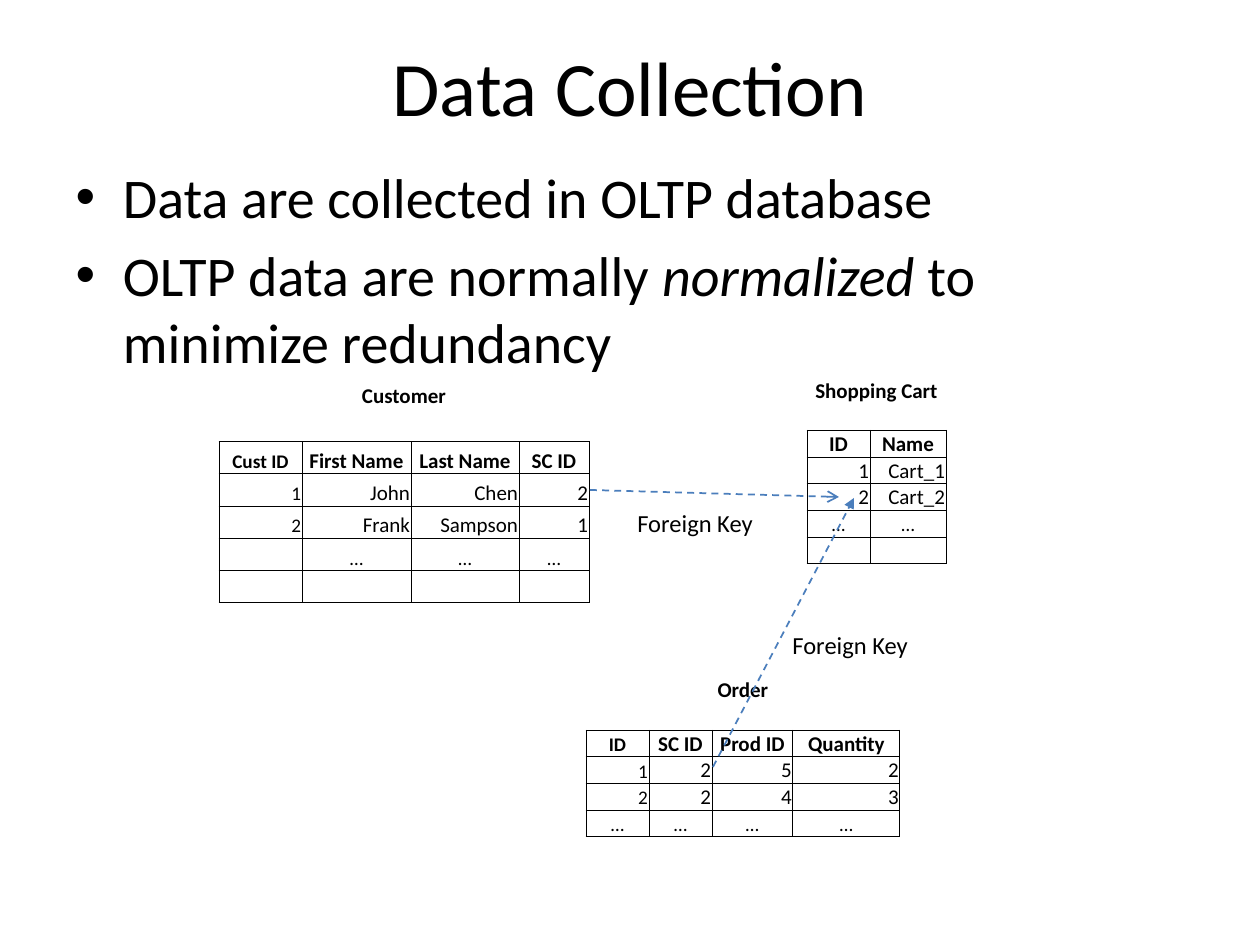
import pptx
import pptx.util
import pptx.dml.color
import pptx.enum.dml
import pptx.enum.shapes
import pptx.enum.text
import pptx.oxml.ns
import lxml.etree

COLORS = {"text": "000000", "border": "000000", "arrow": "4B7EBC"}
FONT = "Calibri"
SCALE = 914400 // 126

TITLE = {"box": (63, 25, 1134, 121), "text": [["Data Collection"]]}
BODY = {
    "box": (63, 156, 1134, 216),
    "text": [
        ["Data are collected in OLTP database"],
        ["OLTP data are normally ", ("normalized ", "italic"), "to minimize redundancy"],
    ],
}
TABLES = [
    {
        "name": "Customer", "left": 219, "top": 377, "height": 226,
        "columns": [83, 109, 108, 70], "small_first": True,
        "rows": [
            ["Cust ID", "First Name", "Last Name", "SC ID"],
            ["1", "John", "Chen", "2"],
            ["2", "Frank", "Sampson", "1"],
            ["", "…", "…", "…"],
            ["", "", "", ""],
        ],
    },
    {
        "name": "Shopping Cart", "left": 807, "top": 377, "height": 187,
        "columns": [63, 76], "small_first": False,
        "rows": [["ID", "Name"], ["1", "Cart_1"], ["2", "Cart_2"], ["…", "…"], ["", ""]],
    },
    {
        "name": "Order", "left": 586, "top": 677, "height": 160,
        "columns": [63, 63, 81, 107], "small_first": True,
        "rows": [
            ["ID", "SC ID", "Prod ID", "Quantity"],
            ["1", "2", "5", "2"],
            ["2", "2", "4", "3"],
            ["…", "…", "…", "…"],
        ],
    },
]
ARROWS = [((590, 490), (839, 497), "arrow"), ((713, 767), (854, 498), "triangle")]
LABELS = [("Foreign Key", (780, 624, 158, 42)), ("Foreign Key", (625, 502, 164, 42))]

ALIGN = pptx.enum.text.PP_ALIGN
ANCHOR = pptx.enum.text.MSO_ANCHOR
qn = pptx.oxml.ns.qn


def px(value):
    return pptx.util.Emu(round(value * SCALE))


def rgb(name):
    return pptx.dml.color.RGBColor.from_string(COLORS[name])


def write(frame, paragraphs, size, bold=False, align=None, anchor=ANCHOR.TOP):
    frame.word_wrap = True
    frame.vertical_anchor = anchor
    for index, parts in enumerate(paragraphs):
        paragraph = frame.add_paragraph() if index else frame.paragraphs[0]
        paragraph.alignment = align
        for part in parts:
            text, style = part if isinstance(part, tuple) else (part, "")
            run = paragraph.add_run()
            run.text = text
            run.font.name = FONT
            run.font.size = pptx.util.Pt(size)
            run.font.bold = bold
            run.font.italic = style == "italic"
            run.font.color.rgb = rgb("text")


def fill_placeholder(shape, content, **style):
    shape.left, shape.top, shape.width, shape.height = map(px, content["box"])
    write(shape.text_frame, content["text"], **style)
    shape.text_frame.auto_size = pptx.enum.text.MSO_AUTO_SIZE.NONE


def set_borders(cell, visible):
    properties = cell._tc.get_or_add_tcPr()
    for side in "LRTB":
        line = lxml.etree.SubElement(properties, qn("a:ln" + side), w="6350")
        if side in visible:
            solid = lxml.etree.SubElement(line, qn("a:solidFill"))
            lxml.etree.SubElement(solid, qn("a:srgbClr"), val=COLORS["border"])
        else:
            lxml.etree.SubElement(line, qn("a:noFill"))


def format_cell(cell, text, borders, **style):
    cell.margin_left = cell.margin_right = cell.margin_top = px(1)
    cell.margin_bottom = 0
    set_borders(cell, borders)
    cell.fill.background()
    if text:
        write(cell.text_frame, [[text]], **style)
    else:
        paragraph = cell.text_frame.paragraphs[0]
        lxml.etree.SubElement(paragraph._p, qn("a:endParaRPr"), sz="1100")
    cell.vertical_anchor = ANCHOR.BOTTOM


def add_data_table(slide, data):
    width = len(data["columns"])
    rows = [[data["name"]] + [""] * (width - 1), [""] * width] + data["rows"]
    frame = slide.shapes.add_table(
        len(rows), width, px(data["left"]), px(data["top"]),
        px(sum(data["columns"])), px(data["height"]))
    table = frame.table
    table.first_row = table.horz_banding = False
    for column, column_width in zip(table.columns, data["columns"]):
        column.width = px(column_width)
    for row_index, row in enumerate(rows):
        table.rows[row_index].height = px(data["height"] / len(rows))
        borders = ("", "B")[row_index] if row_index < 2 else "LRTB"
        heading = row_index in (0, 2)
        for column_index, text in enumerate(row):
            small = data["small_first"] and column_index == 0 and row_index > 0
            format_cell(
                table.cell(row_index, column_index), text, borders,
                size=11 if small or text == "…" else 12, bold=heading,
                align=ALIGN.CENTER if heading or text == "…" else ALIGN.RIGHT)
    table.cell(0, 0).merge(table.cell(0, width - 1))


def add_arrow(slide, start, end, head):
    connector = slide.shapes.add_connector(
        pptx.enum.shapes.MSO_CONNECTOR.STRAIGHT, *map(px, start + end))
    connector.line.color.rgb = rgb("arrow")
    connector.line.width = pptx.util.Pt(1)
    connector.line.dash_style = pptx.enum.dml.MSO_LINE.DASH
    properties = connector._element.spPr
    lxml.etree.SubElement(properties.find(qn("a:ln")), qn("a:tailEnd"), type=head)
    lxml.etree.SubElement(properties, qn("a:effectLst"))


presentation = pptx.Presentation()
presentation.slide_width = px(1260)
presentation.slide_height = px(945)
slide = presentation.slides.add_slide(presentation.slide_layouts[1])

fill_placeholder(slide.shapes.title, TITLE, size=44, align=ALIGN.CENTER, anchor=ANCHOR.MIDDLE)
fill_placeholder(slide.placeholders[1], BODY, size=32)
for data in TABLES:
    add_data_table(slide, data)
for start, end, head in ARROWS:
    add_arrow(slide, start, end, head)
for text, box in LABELS:
    label = slide.shapes.add_textbox(*map(px, box))
    write(label.text_frame, [[text]], size=14)

presentation.save("out.pptx")
